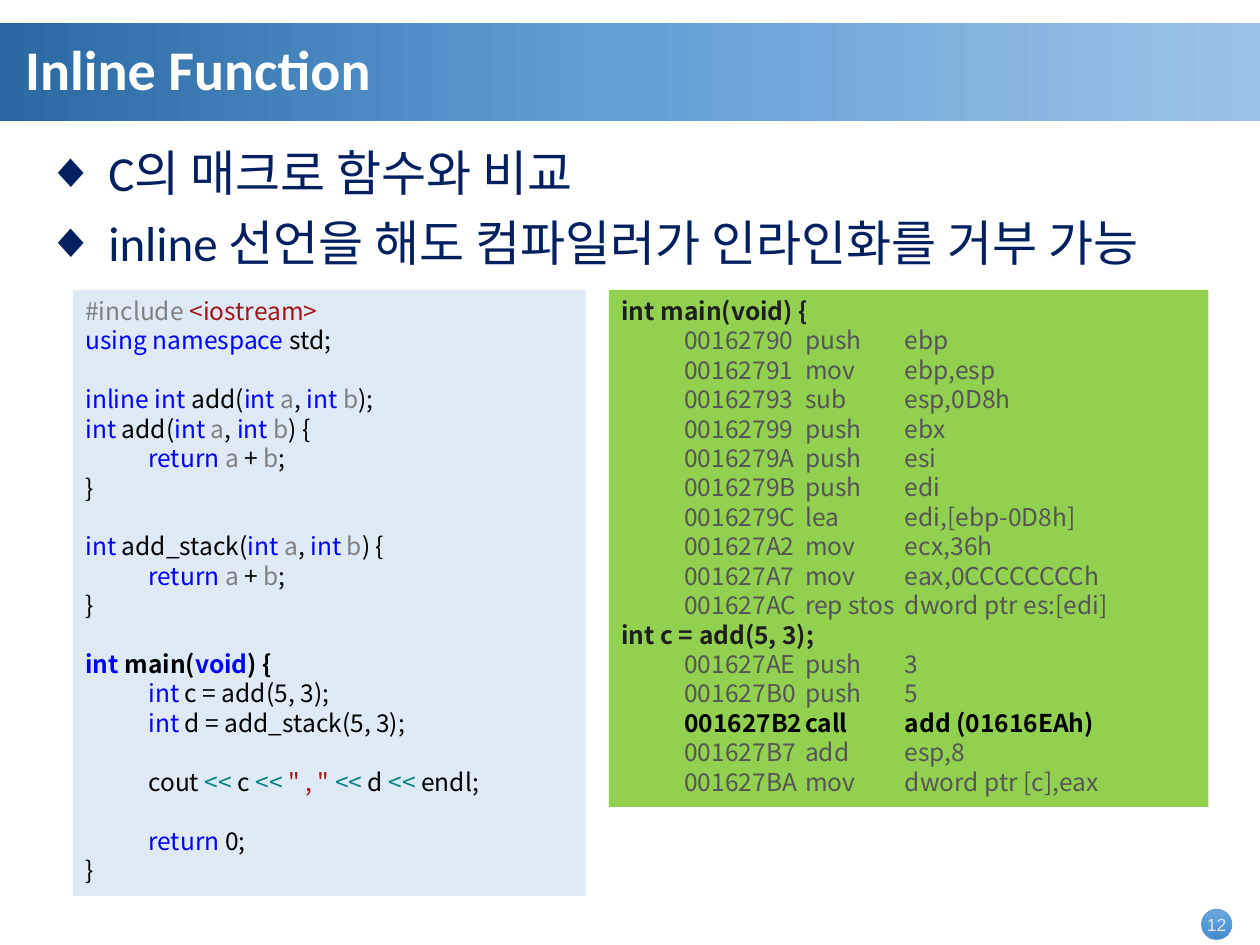
from lxml.etree import SubElement
from pptx import Presentation
from pptx.dml.color import RGBColor
from pptx.enum.shapes import MSO_SHAPE
from pptx.enum.text import MSO_ANCHOR, MSO_AUTO_SIZE, PP_ALIGN
from pptx.oxml.ns import qn
from pptx.util import Pt

COLORS = {
    "title": "FFFFFF", "bullet": "002060", "number": "E7E6E6", "number_line": "5B9BD5",
    "code_box": "DEEBF7", "asm_box": "92D050",
    "plain": "000000", "keyword": "0000FF", "param": "808080",
    "string": "A31515", "operator": "008080",
    "source_line": "1E1E1E", "instruction": "555555",
}
TITLE_GRADIENT = [(0, "2A69A2"), (48, "609ED6"), (100, "9DC3E6")]
NUMBER_GRADIENT = [(0, "71A6DB"), (50, "559BDB"), (100, "448ACA")]
CODE_FONT = "Noto Sans CJK KR"
CODE_PITCH = 16.8

BULLETS = ["C의 매크로 함수와 비교", "inline 선언을 해도 컴파일러가 인라인화를 거부 가능"]

# A line is a list of (text, color) runs; None leaves a gap above the next line.
PARAMS = [("int ", "keyword"), ("a", "param"), (", ", "plain"),
          ("int ", "keyword"), ("b", "param")]
CLOSE = [("}", "plain")]
SUM_BODY = [
    [("\treturn ", "keyword"), ("a", "param"), (" + ", "plain"), ("b", "param"), (";", "plain")],
    CLOSE,
    None,
]
CODE_HEAD = [
    [("#include ", "param"), ("<iostream>", "string")],
    [("using namespace ", "keyword"), ("std;", "plain")],
    None,
    [("inline int", "keyword"), (" add(", "plain"), *PARAMS, (");", "plain")],
    [("int", "keyword"), (" add(", "plain"), *PARAMS, (") {", "plain")],
    *SUM_BODY,
    [("int ", "keyword"), ("add_stack(", "plain"), *PARAMS, (") {", "plain")],
    *SUM_BODY,
]
CODE_MAIN = [[("int", "keyword"), (" main(", "plain"), ("void", "keyword"), (") {", "plain")]]
CODE_TAIL = [
    [("\tint", "keyword"), (" c = add(5, 3);", "plain")],
    [("\tint", "keyword"), (" d = add_stack(5, 3);", "plain")],
    None,
    [("\tcout ", "plain"), ("<<", "operator"), (" c ", "plain"), ("<< ", "operator"),
     ('" , " ', "string"), ("<<", "operator"), (" d ", "plain"), ("<< ", "operator"),
     ("endl;", "plain")],
    None,
    [("\treturn", "keyword"), (" 0;", "plain")],
    CLOSE,
]

ASM_PROLOGUE = [
    ("00162790", "push", "ebp"), ("00162791", "mov", "ebp,esp"),
    ("00162793", "sub", "esp,0D8h"), ("00162799", "push", "ebx"),
    ("0016279A", "push", "esi"), ("0016279B", "push", "edi"),
    ("0016279C", "lea", "edi,[ebp-0D8h]"), ("001627A2", "mov", "ecx,36h"),
    ("001627A7", "mov", "eax,0CCCCCCCCh"), ("001627AC", "rep stos", "dword ptr es:[edi]"),
]
ASM_ARGUMENTS = [("001627AE", "push", "3"), ("001627B0", "push", "5")]
ASM_CALL = [("001627B2", "call", "add (01616EAh)")]
ASM_RESULT = [("001627B7", "add", "esp,8"), ("001627BA", "mov", "dword ptr [c],eax")]


def rgb(name):
    return RGBColor.from_string(COLORS[name])


def place(shape, left, top, width, height):
    shape.left, shape.top, shape.width, shape.height = map(Pt, (left, top, width, height))


def fill_gradient(shape, stops, angle):
    shape.fill.gradient()
    gradient = shape.element.spPr.find(qn("a:gradFill"))
    stop_list = gradient.find(qn("a:gsLst"))
    for stop in list(stop_list):
        stop_list.remove(stop)
    for percent, color in stops:
        stop = SubElement(stop_list, qn("a:gs"), pos=str(percent * 1000))
        SubElement(stop, qn("a:srgbClr"), val=color)
    gradient.find(qn("a:lin")).set("ang", str(angle * 60000))


def write_line(frame, runs, size, font, bold=False, align=PP_ALIGN.LEFT,
               spacing=None, before=0, east_asian=None):
    """Write one paragraph of (text, color) runs, using the empty first one if there is one."""
    paragraph = frame.paragraphs[0]
    if paragraph.runs:
        paragraph = frame.add_paragraph()
    paragraph.alignment = align
    paragraph.space_before = Pt(before)
    if spacing:
        paragraph.line_spacing = spacing
    for text, color in runs:
        run = paragraph.add_run()
        run.text = text
        run.font.size, run.font.name, run.font.bold = Pt(size), font, bold
        run.font.color.rgb = rgb(color)
        if east_asian:
            SubElement(run.font._element, qn("a:ea"), typeface=east_asian)
    return paragraph


def set_indent(paragraph, left, first):
    properties = paragraph._p.get_or_add_pPr()
    properties.set("marL", str(Pt(left)))
    properties.set("indent", str(Pt(first)))
    return properties


def add_bullet(paragraph):
    properties = set_indent(paragraph, 35.3, -35.3)
    color = SubElement(properties, qn("a:buClr"))
    SubElement(color, qn("a:srgbClr"), val=COLORS["bullet"])
    SubElement(properties, qn("a:buChar"), char="◆")


def add_plain_shape(slide, kind, left, top, width, height):
    shape = slide.shapes.add_shape(kind, Pt(left), Pt(top), Pt(width), Pt(height))
    shape.shadow.inherit = False
    return shape


def add_code_box(slide, left, width, height, color):
    box = add_plain_shape(slide, MSO_SHAPE.RECTANGLE, left, 165.6, width, height)
    box.fill.solid()
    box.fill.fore_color.rgb = rgb(color)
    box.line.fill.background()
    box.text_frame.word_wrap = True
    box.text_frame.vertical_anchor = MSO_ANCHOR.TOP
    return box.text_frame


def write_code(frame, lines, tab_stops=(36,), bold=False):
    before = 0
    for runs in lines:
        if runs is None:
            before = CODE_PITCH
            continue
        paragraph = write_line(frame, runs, 14, CODE_FONT, bold=bold,
                               spacing=Pt(CODE_PITCH), before=before)
        tabs = SubElement(paragraph._p.get_or_add_pPr(), qn("a:tabLst"))
        for stop in tab_stops:
            SubElement(tabs, qn("a:tab"), pos=str(Pt(stop)), algn="l")
        before = 0


def write_instructions(frame, instructions, color="instruction", bold=False):
    lines = [[("\t" + "\t".join(parts), color)] for parts in instructions]
    write_code(frame, lines, tab_stops=(36, 105, 162), bold=bold)


def format_title(title):
    place(title, 0, 13.2, 720, 56)
    fill_gradient(title, TITLE_GRADIENT, 0)
    title.text_frame.vertical_anchor = MSO_ANCHOR.MIDDLE
    title.text_frame.auto_size = MSO_AUTO_SIZE.NONE
    heading = write_line(title.text_frame, [("Inline Function", "title")], 32, "Calibri",
                         bold=True, spacing=0.9)
    set_indent(heading, 7.2, 0)


def format_bullets(body):
    place(body, 19.4, 81.4, 684, 426)
    body.text_frame.auto_size = MSO_AUTO_SIZE.NONE
    for text in BULLETS:
        add_bullet(write_line(body.text_frame, [(text, "bullet")], 28, "Calibri",
                              spacing=0.9, before=10, east_asian=CODE_FONT))


def add_slide_number(slide):
    badge = add_plain_shape(slide, MSO_SHAPE.OVAL, 686.6, 519.6, 17.3, 17.3)
    fill_gradient(badge, NUMBER_GRADIENT, 90)
    badge.line.color.rgb = rgb("number_line")
    badge.line.width = Pt(0.5)
    frame = badge.text_frame
    frame.margin_left = frame.margin_right = 0
    frame.word_wrap = False
    frame.vertical_anchor = MSO_ANCHOR.MIDDLE
    write_line(frame, [("12", "number")], 10, "Arial", align=PP_ALIGN.CENTER)


def main():
    deck = Presentation()
    deck.slide_width, deck.slide_height = Pt(720), Pt(540)
    slide = deck.slides.add_slide(deck.slide_layouts[1])
    add_slide_number(slide)
    format_title(slide.shapes.title)
    format_bullets(slide.placeholders[1])

    assembly = add_code_box(slide, 348, 342.6, 295.6, "asm_box")
    write_code(assembly, [[("int main(void) {", "source_line")]], bold=True)
    write_instructions(assembly, ASM_PROLOGUE)
    write_code(assembly, [[("int c = add(5, 3);", "source_line")]], bold=True)
    write_instructions(assembly, ASM_ARGUMENTS)
    write_instructions(assembly, ASM_CALL, color="plain", bold=True)
    write_instructions(assembly, ASM_RESULT)

    code = add_code_box(slide, 41.7, 293, 346.3, "code_box")
    write_code(code, CODE_HEAD)
    write_code(code, [None, *CODE_MAIN], bold=True)
    write_code(code, CODE_TAIL)
    deck.save("out.pptx")


if __name__ == "__main__":
    main()
